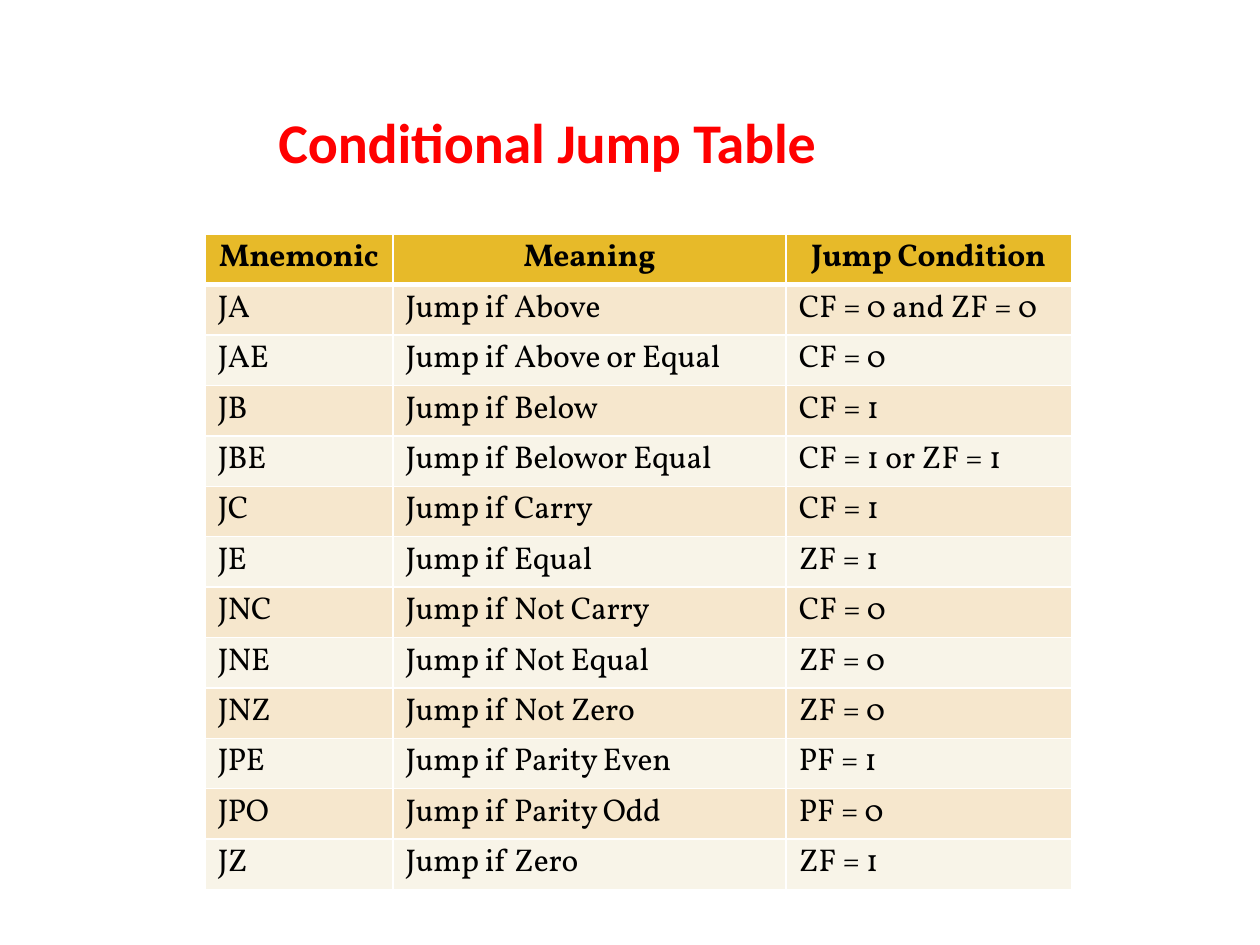
from lxml import etree
from pptx import Presentation
from pptx.dml.color import RGBColor
from pptx.enum.text import MSO_ANCHOR, MSO_AUTO_SIZE, PP_ALIGN
from pptx.oxml.ns import qn
from pptx.util import Inches, Pt

LEFT, CENTER = PP_ALIGN.LEFT, PP_ALIGN.CENTER
TOP = MSO_ANCHOR.TOP
GROW = MSO_AUTO_SIZE.SHAPE_TO_FIT_TEXT

COLORS = {
    "title": "FF0000",
    "text": "000000",
    "border": "FFFFFF",
    "header": "E7BA29",
    "odd_row": "F6E7CD",
    "even_row": "F8F4E8",
}

HEADINGS = ("Mnemonic", "Meaning", "Jump Condition")
JUMPS = [
    ("JA", "Jump if Above", "CF = 0 and ZF = 0"),
    ("JAE", "Jump if Above or Equal", "CF = 0"),
    ("JB", "Jump if Below", "CF = 1"),
    ("JBE", "Jump if Belowor Equal", "CF = 1 or ZF = 1"),
    ("JC", "Jump if Carry", "CF = 1"),
    ("JE", "Jump if Equal", "ZF = 1"),
    ("JNC", "Jump if Not Carry", "CF = 0"),
    ("JNE", "Jump if Not Equal", "ZF = 0"),
    ("JNZ", "Jump if Not Zero", "ZF = 0"),
    ("JPE", "Jump if Parity Even", "PF = 1"),
    ("JPO", "Jump if Parity Odd", "PF = 0"),
    ("JZ", "Jump if Zero", "ZF = 1"),
]
COLUMN_WIDTHS = (1.49, 3.12, 2.27)
HEADING_INDENTS = (0.11, 0, 0.2)
HEADING_ALIGNS = (LEFT, CENTER, LEFT)
COLUMN_TRACKING = (-0.2, -0.1, 0)  # letter spacing in points


def write_text(frame, text, *, font, size, color="text", bold=False,
               align=LEFT, indent=0, before=0, tracking=0):
    paragraph = frame.paragraphs[0]
    paragraph.alignment = align
    paragraph.space_before = Pt(before)
    properties = paragraph._p.get_or_add_pPr()
    properties.set("marL", str(Inches(indent)))
    properties.set("indent", "0")
    run = paragraph.add_run()
    run.text = text
    run.font.name = font
    run.font.size = Pt(size)
    run.font.bold = bold
    run.font.color.rgb = RGBColor.from_string(COLORS[color])
    run._r.get_or_add_rPr().set("spc", str(round(tracking * 100)))


def set_borders(cell, **widths):
    properties = cell._tc.get_or_add_tcPr()
    for side in "LRTB":
        line = etree.SubElement(properties, qn(f"a:ln{side}"),
                                w=str(Pt(widths.get(side, 1))))
        fill = etree.SubElement(line, qn("a:solidFill"))
        etree.SubElement(fill, qn("a:srgbClr"), val=COLORS["border"])


def style_cell(cell, fill, **border_widths):
    cell.margin_left = cell.margin_right = cell.margin_bottom = 0
    cell.margin_top = Inches(0.02)
    cell.vertical_anchor = TOP
    set_borders(cell, **border_widths)
    cell.fill.solid()
    cell.fill.fore_color.rgb = RGBColor.from_string(COLORS[fill])


def place_title(slide, left, top, width, height):
    title = slide.shapes.title
    title.left, title.top = Inches(left), Inches(top)
    title.width, title.height = Inches(width), Inches(height)
    frame = title.text_frame
    frame.margin_left = frame.margin_right = frame.margin_bottom = 0
    frame.margin_top = Inches(0.01)
    frame.vertical_anchor = TOP
    frame.word_wrap = True
    frame.auto_size = GROW
    write_text(frame, "Conditional Jump Table", font="Calibri", size=32,
               color="title", bold=True, indent=0.01, before=0.9,
               tracking=-0.1)


def place_jump_table(slide, left, top, width, height):
    table = slide.shapes.add_table(
        len(JUMPS) + 1, len(HEADINGS), Inches(left), Inches(top),
        Inches(width), Inches(height)).table
    table.horz_banding = False
    for column, column_width in zip(table.columns, COLUMN_WIDTHS):
        column.width = Inches(column_width)

    # Header row, with a heavier rule below it
    for col, heading in enumerate(HEADINGS):
        cell = table.cell(0, col)
        style_cell(cell, "header", B=3)
        write_text(cell.text_frame, heading, font="Vollkorn", size=18,
                   bold=True, align=HEADING_ALIGNS[col],
                   indent=HEADING_INDENTS[col], before=1.3, tracking=-0.1)

    # One row for each jump instruction
    for row, jump in enumerate(JUMPS, start=1):
        fill = "odd_row" if row % 2 else "even_row"
        for col, text in enumerate(jump):
            cell = table.cell(row, col)
            style_cell(cell, fill, T=3 if row == 1 else 1)
            write_text(cell.text_frame, text, font="Vollkorn", size=18,
                       indent=0.1, before=1.4, tracking=COLUMN_TRACKING[col])


def main():
    deck = Presentation()
    deck.slide_width, deck.slide_height = Inches(10), Inches(7.5)
    title_only = deck.slide_layouts[5]
    slide = deck.slides.add_slide(title_only)
    place_title(slide, 2.2, 0.84, 4.3, 0.56)
    place_jump_table(slide, 1.63, 1.86, sum(COLUMN_WIDTHS), 5.2)
    deck.save("out.pptx")


if __name__ == "__main__":
    main()
